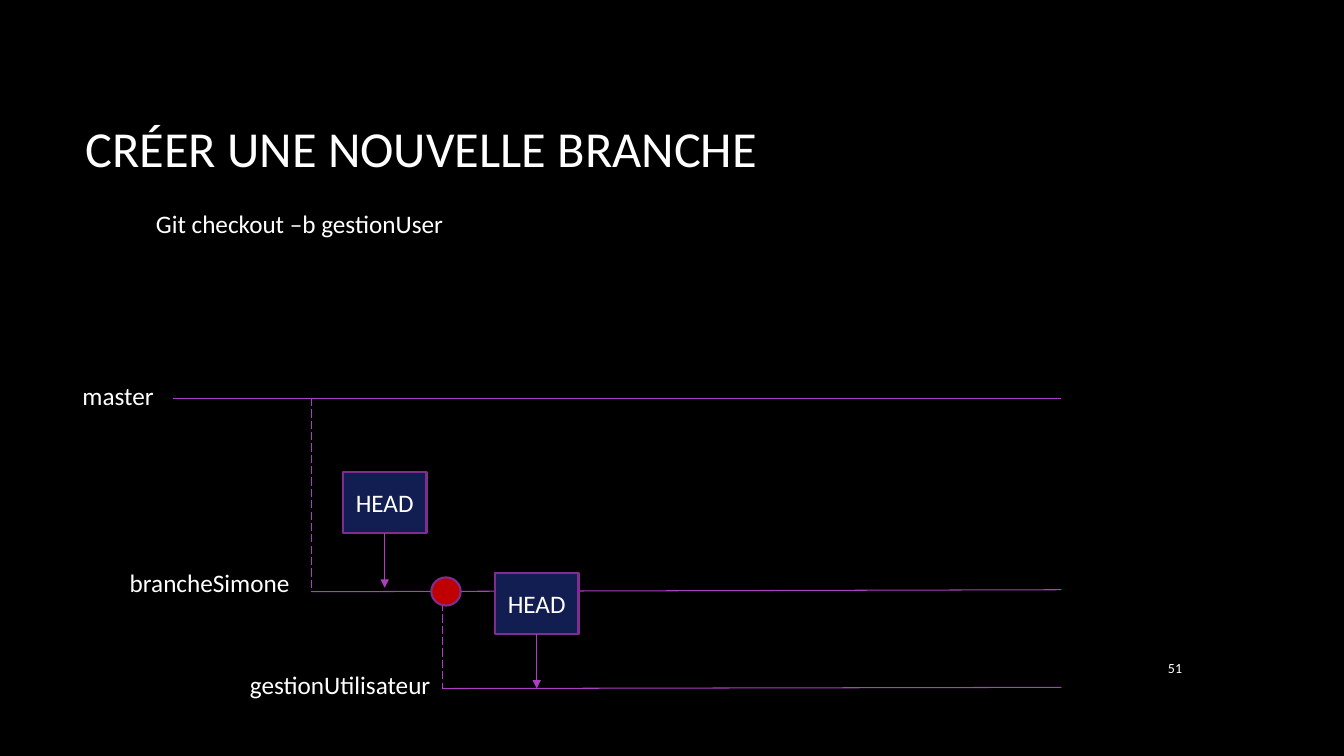
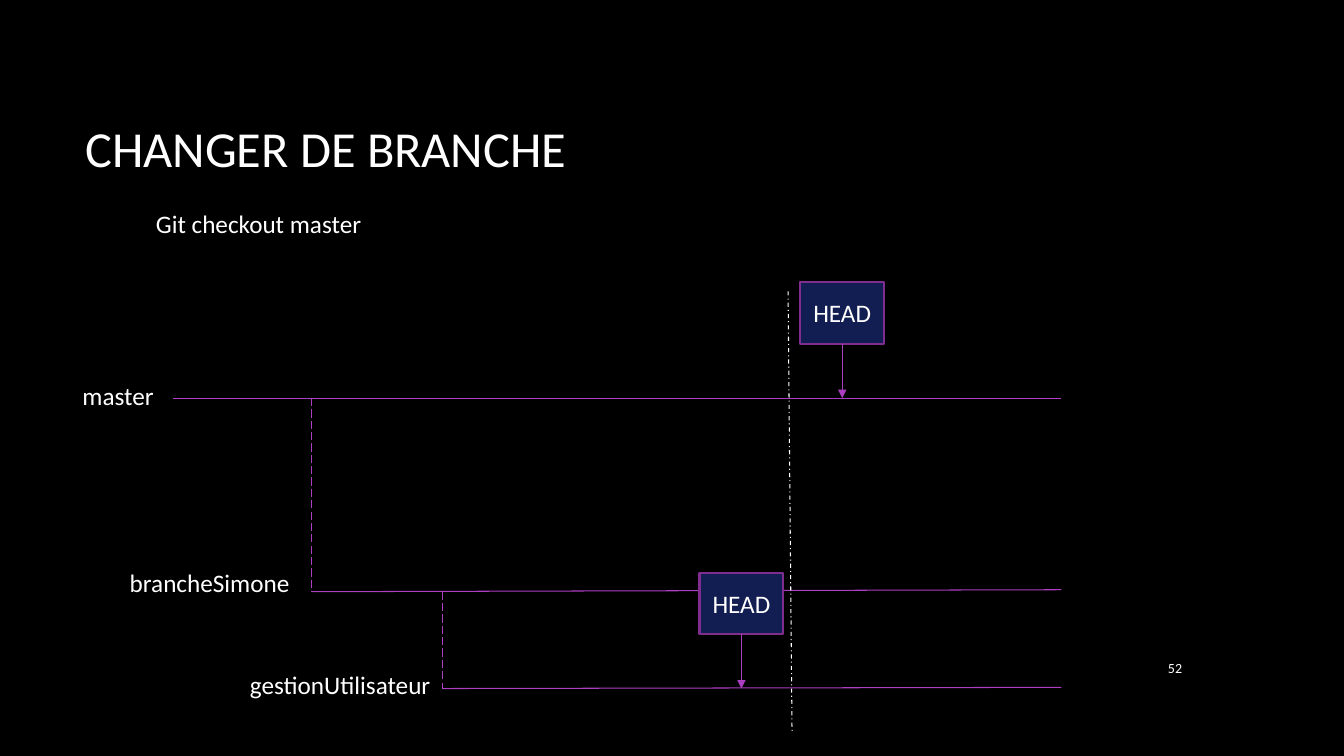
from dataclasses import dataclass
from typing import Optional

from lxml import etree
from pptx import Presentation
from pptx import util as u
from pptx.dml.color import RGBColor
from pptx.enum import dml, shapes, text
from pptx.oxml.ns import qn

COLORS = {
    "background": "000000",
    "text": "FFFFFF",
    "branch": "AC3EC1",
    "box": "121D51",
    "outline": "7F2E8F",
    "commit": "C00000",
}
FONT = "Calibri"
HEAD_W, HEAD_H, ARROW_LEN = 2.11, 1.55, 1.37
BRANCH_END = 26.75


@dataclass(frozen=True)
class Branch:
    name: str
    label_box: tuple[float, float, float, float]
    start: tuple[float, float]
    end_y: float
    fork_y: Optional[float] = None


@dataclass(frozen=True)
class Page:
    title: str
    command: str
    number: int
    heads: tuple[tuple[float, float], ...]
    commit: Optional[tuple[float, float, float, float]] = None
    divider: Optional[tuple[float, float, float, float]] = None


BRANCHES = (
    Branch("master", (1.83, 9.45, 2.34, 1.02), (4.37, 10.03), 10.03),
    Branch("brancheSimone", (3.02, 14.17, 4.6, 1.02), (7.85, 14.91), 14.86, 10.03),
    Branch("gestionUtilisateur", (6.05, 16.74, 5.11, 1.02), (11.15, 17.35), 17.32, 14.91),
)
PAGES = (
    Page("CRÉER UNE NOUVELLE BRANCHE", "Git checkout –b gestionUser", 51,
         heads=((12.47, 14.43), (8.64, 11.89)), commit=(10.87, 14.55, 0.74, 0.71)),
    Page("CHANGER DE BRANCHE", "Git checkout master", 52,
         heads=((17.63, 14.43), (20.17, 7.11)), divider=(19.86, 7.34, 19.96, 18.42)),
)


def rgb(name: str) -> RGBColor:
    return RGBColor.from_string(COLORS[name])


def write(sp, content: str, *, size: float = 18, align=text.PP_ALIGN.LEFT,
          anchor=text.MSO_ANCHOR.MIDDLE, wrap: bool = True, after: float = 0) -> None:
    tf = sp.text_frame
    tf.word_wrap = wrap
    tf.vertical_anchor = anchor
    p = tf.paragraphs[0]
    p.alignment = align
    p.space_after = u.Pt(after)
    r = p.add_run()
    r.text = content
    r.font.name = FONT
    r.font.size = u.Pt(size)
    r.font.color.rgb = rgb("text")


def add_text(s, box: tuple[float, float, float, float], content: str, **style) -> None:
    write(s.shapes.add_textbox(*map(u.Cm, box)), content, **style)


def add_shape(s, kind, box: tuple[float, float, float, float], fill: str):
    sp = s.shapes.add_shape(kind, *map(u.Cm, box))
    sp.shadow.inherit = False
    sp.fill.solid()
    sp.fill.fore_color.rgb = rgb(fill)
    sp.line.color.rgb = rgb("outline")
    sp.line.width = u.Pt(1.5)
    return sp


def add_line(s, x1: float, y1: float, x2: float, y2: float, *,
             color: str = "branch", dash=None, arrow: bool = False):
    line = s.shapes.add_connector(shapes.MSO_CONNECTOR.STRAIGHT, *map(u.Cm, (x1, y1, x2, y2)))
    line.line.color.rgb = rgb(color)
    line.line.width = u.Pt(0.75)
    if dash is not None:
        line.line.dash_style = dash
    if arrow:
        etree.SubElement(line.line._get_or_add_ln(), qn("a:tailEnd"), type="triangle")
    etree.SubElement(line._element.spPr, qn("a:effectLst"))
    return line


def add_branch(s, branch: Branch) -> None:
    x, y = branch.start
    add_line(s, x, y, BRANCH_END, branch.end_y)
    add_text(s, branch.label_box, branch.name, wrap=False, anchor=text.MSO_ANCHOR.TOP)
    if branch.fork_y is not None:
        add_line(s, x, branch.fork_y, x, y, dash=dml.MSO_LINE.LONG_DASH)


def add_head(s, left: float, top: float) -> None:
    sp = add_shape(s, shapes.MSO_SHAPE.RECTANGLE, (left, top, HEAD_W, HEAD_H), "box")
    write(sp, "HEAD", align=text.PP_ALIGN.CENTER)
    x, y = left + HEAD_W / 2, top + HEAD_H
    add_line(s, x, y, x, y + ARROW_LEN, arrow=True).begin_connect(sp, 2)


def add_page(prs, page: Page) -> None:
    s = prs.slides.add_slide(prs.slide_layouts[6])
    add_text(s, (1.9, 1.7, 28.14, 4.04), page.title, size=36)
    add_text(s, (3.68, 4.55, 22.23, 2.18), page.command, after=10)
    add_text(s, (28.52, 16.31, 1.52, 1.04), str(page.number), size=10,
             align=text.PP_ALIGN.RIGHT)
    for branch in BRANCHES:
        add_branch(s, branch)
    for left, top in page.heads:
        add_head(s, left, top)
    if page.commit:
        add_shape(s, shapes.MSO_SHAPE.OVAL, page.commit, "commit")
    if page.divider:
        add_line(s, *page.divider, color="text", dash=dml.MSO_LINE.DASH_DOT)


def main() -> None:
    prs = Presentation()
    prs.slide_width, prs.slide_height = u.Cm(33.87), u.Cm(19.05)
    fill = prs.slide_master.background.fill
    fill.solid()
    fill.fore_color.rgb = rgb("background")
    for page in PAGES:
        add_page(prs, page)
    prs.save("out.pptx")


if __name__ == "__main__":
    main()
